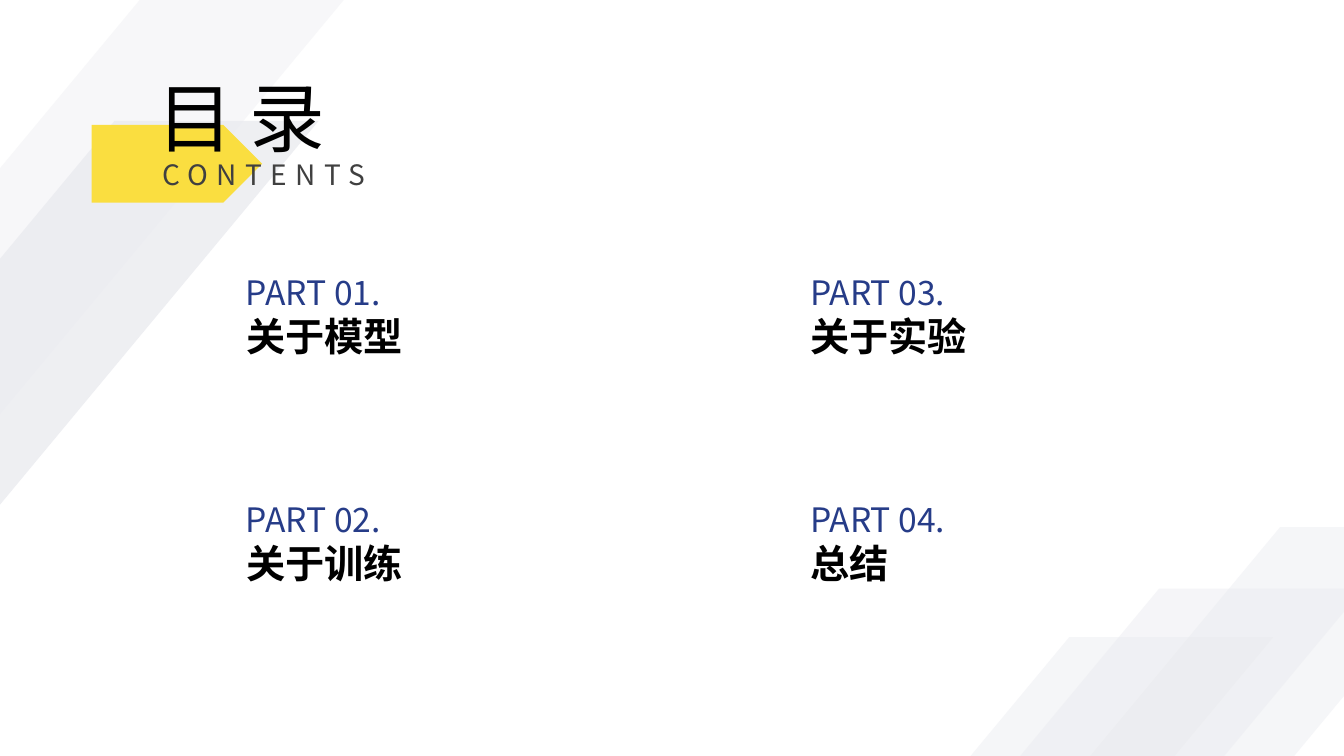
import pptx
import pptx.util
import pptx.dml.color
import pptx.enum.shapes
import pptx.enum.text
import pptx.oxml.ns
import lxml.etree

WIDTH, HEIGHT = 13.33, 7.5
FONT = "Noto Sans CJK SC"
PARTS = [
    ("PART 01.", "关于模型"),
    ("PART 02.", "关于训练"),
    ("PART 03.", "关于实验"),
    ("PART 04.", "总结"),
]
PARTS_PER_COLUMN = 2
BANDS = [
    (-2.54, 0, 35),
    (-2.79, 1.2, 76),
    (8.77, 5.23, 41),
    (6.68, 6.32, 41),
    (7.57, 5.84, 43),
]
TITLE_FORMAT = {"size": pptx.util.Pt(54), "bold": False}
SUBTITLE_FORMAT = {"size": pptx.util.Pt(20), "bold": False}
NUMBER_FORMAT = {"size": pptx.util.Pt(24), "bold": False}
HEADING_FORMAT = {"size": pptx.util.Pt(28), "bold": True}


def paint(color_owner, hex_color):
    color_owner.rgb = pptx.dml.color.RGBColor.from_string(hex_color)


def add_element(parent, tag, **attributes):
    return lxml.etree.SubElement(parent, pptx.oxml.ns.qn(tag), **attributes)


def place(item, box):
    for side, length in zip(("left", "top", "width", "height"), box):
        setattr(item, side, pptx.util.Inches(length))


def write(item, box, text, hex_color, text_format, wrap=True, spacing=0):
    place(item, box)
    frame = item.text_frame
    frame_format = {
        "word_wrap": wrap,
        "auto_size": pptx.enum.text.MSO_AUTO_SIZE.NONE,
        "vertical_anchor": pptx.enum.text.MSO_ANCHOR.TOP,
    }
    for name, value in frame_format.items():
        setattr(frame, name, value)
    paragraph = frame.paragraphs[0]
    properties = paragraph._p.get_or_add_pPr()
    properties.set("marL", "0")
    properties.set("indent", "0")
    add_element(properties, "a:buNone")
    paragraph.alignment = pptx.enum.text.PP_ALIGN.LEFT
    paragraph.space_before = pptx.util.Pt(0)
    run = paragraph.add_run()
    run.text = text
    for name, value in {"name": FONT, **text_format}.items():
        setattr(run.font, name, value)
    paint(run.font.color, hex_color)
    run_properties = run._r.get_or_add_rPr()
    add_element(run_properties, "a:ea", typeface=FONT)
    if spacing:
        run_properties.set("spc", str(spacing * 100))


def add_plain_shape(slide, preset, box, hex_color):
    plain = slide.shapes.add_shape(preset, *map(pptx.util.Inches, box))
    plain.shadow.inherit = False
    plain.fill.solid()
    paint(plain.fill.fore_color, hex_color)
    plain.line.fill.background()
    return plain


def add_text_box(slide):
    return slide.shapes.add_textbox(0, 0, 0, 0)


def add_bands(slide, band_width, band_height):
    for left, top, opacity in BANDS:
        band = add_plain_shape(
            slide, pptx.enum.shapes.MSO_SHAPE.PARALLELOGRAM,
            (left, top, band_width, band_height), "E9EAEF")
        band.adjustments[0] = 0.83
        color = band.fill._xPr.find(".//" + pptx.oxml.ns.qn("a:srgbClr"))
        add_element(color, "a:alpha", val=str(opacity * 1000))


def add_heading(slide, left, top, width, height):
    add_plain_shape(slide, pptx.enum.shapes.MSO_SHAPE.PENTAGON,
                    (left, top + 0.59, 1.69, 0.77), "FADE40")
    title = slide.shapes.title
    slide.shapes._spTree.append(title._element)
    write(title, (left + 0.55, top, width - 0.55, 1.01),
          "目 录", "000000", TITLE_FORMAT)
    write(add_text_box(slide), (left + 0.6, top + height - 0.44, width - 0.65, 0.44),
          "CONTENTS", "404040", SUBTITLE_FORMAT, spacing=6)


def add_parts(slide, left, top, column_step, row_step):
    bodies = [item for item in slide.placeholders if item.placeholder_format.idx > 0]
    for index, ((number, heading), body) in enumerate(zip(PARTS, bodies)):
        column, row = divmod(index, PARTS_PER_COLUMN)
        part_left = left + column * column_step
        part_top = top + row * row_step
        write(add_text_box(slide), (part_left, part_top, 1.69, 0.5),
              number, "263C88", NUMBER_FORMAT, wrap=False)
        write(body, (part_left, part_top + 0.4, 1.97, 0.57),
              heading, "000000", HEADING_FORMAT)


def build_contents_slide(deck):
    slide = deck.slides.add_slide(deck.slide_layouts.get_by_name("Comparison"))
    add_parts(slide, 2.34, 2.65, WIDTH * 0.42, HEIGHT * 0.3)
    add_bands(slide, 5.95, 4.73)
    add_heading(slide, 0.91, 0.65, 3.75, 1.3)


def main():
    deck = pptx.Presentation()
    deck.slide_width = pptx.util.Inches(WIDTH)
    deck.slide_height = pptx.util.Inches(HEIGHT)
    build_contents_slide(deck)
    deck.save("out.pptx")


if __name__ == "__main__":
    main()
